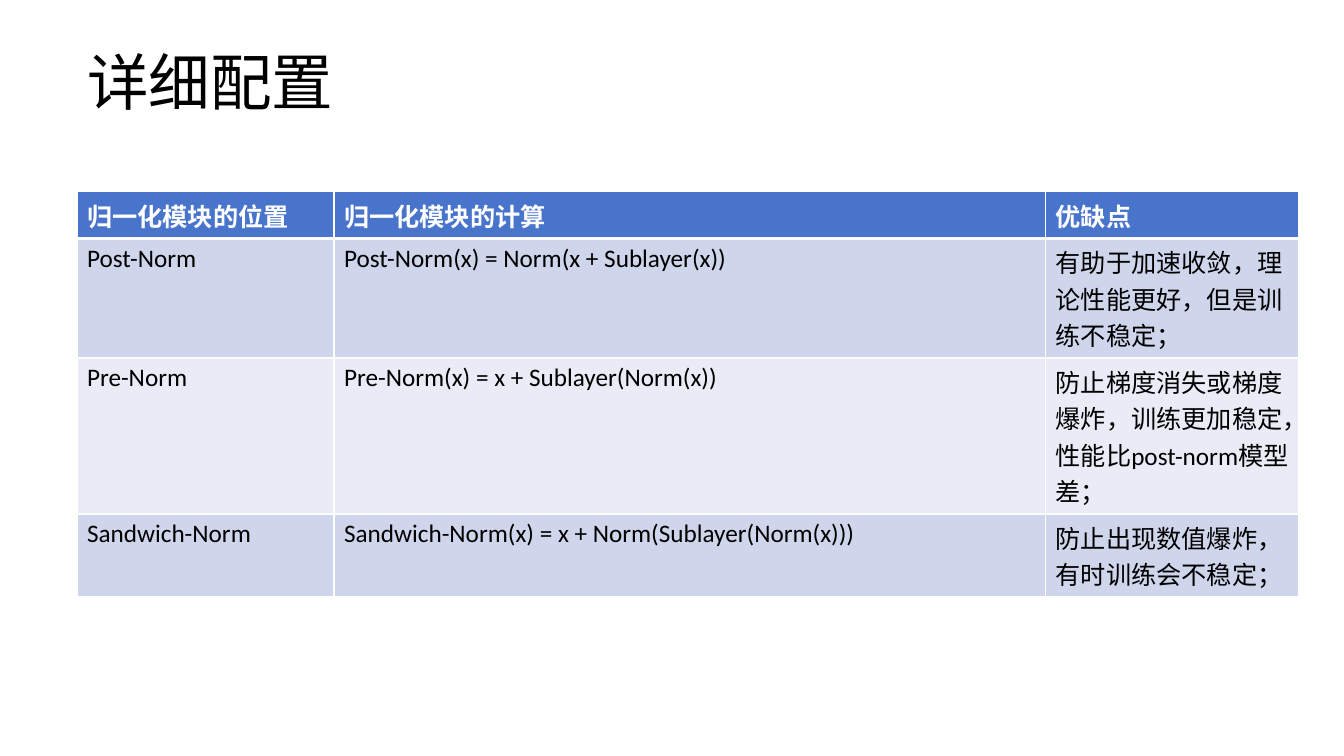
from dataclasses import dataclass

from lxml import etree
from pptx import Presentation
from pptx.dml.color import RGBColor
from pptx.enum.text import MSO_ANCHOR, MSO_AUTO_SIZE, PP_ALIGN
from pptx.oxml.ns import qn
from pptx.slide import Slide
from pptx.table import _Cell
from pptx.text.text import _Paragraph
from pptx.util import Pt

LEFT = PP_ALIGN.LEFT
MIDDLE = MSO_ANCHOR.MIDDLE
NO_AUTO_SIZE = MSO_AUTO_SIZE.NONE

FONT = "Calibri"
WHITE = "FFFFFF"
BLACK = "000000"
HEADER_FILL = "4874CB"
BAND_FILLS = ("CFD6EC", "E9EBF6")
THIN_BORDER = 1
HEADER_BORDER = 3
COLUMN_WIDTHS = (183.6, 508.3, 180.8)


@dataclass(frozen=True)
class NormRow:
    position: str
    formula: str
    remarks: str
    height: float

    def texts(self) -> tuple[str, str, str]:
        return self.position, self.formula, self.remarks


ROWS = (
    NormRow("归一化模块的位置", "归一化模块的计算", "优缺点", 33),
    NormRow(
        "Post-Norm",
        "Post-Norm(x) = Norm(x + Sublayer(x))",
        "有助于加速收敛，理论性能更好，但是训练不稳定；",
        37,
    ),
    NormRow(
        "Pre-Norm",
        "Pre-Norm(x) = x + Sublayer(Norm(x))",
        "防止梯度消失或梯度爆炸，训练更加稳定，性能比post-norm模型差；",
        33,
    ),
    NormRow(
        "Sandwich-Norm",
        "Sandwich-Norm(x) = x + Norm(Sublayer(Norm(x)))",
        "防止出现数值爆炸，有时训练会不稳定；",
        33,
    ),
)


def color(value: str) -> RGBColor:
    return RGBColor.from_string(value)


def format_paragraph(paragraph: _Paragraph, size: float, text_color: str, bold: bool) -> None:
    paragraph.alignment = LEFT
    paragraph.font.name = FONT
    paragraph.font.size = Pt(size)
    paragraph.font.bold = bold
    paragraph.font.color.rgb = color(text_color)


def add_borders(cell: _Cell, top: float, bottom: float) -> None:
    properties = cell._tc.get_or_add_tcPr()
    widths = {"a:lnL": THIN_BORDER, "a:lnR": THIN_BORDER, "a:lnT": top, "a:lnB": bottom}
    for tag, width in widths.items():
        line = etree.SubElement(properties, qn(tag), w=str(Pt(width)))
        fill = etree.SubElement(line, qn("a:solidFill"))
        etree.SubElement(fill, qn("a:srgbClr"), val=WHITE)


def add_title(slide: Slide, text: str) -> None:
    title = slide.shapes.title
    title.left, title.top = Pt(55), Pt(9)
    title.width, title.height = Pt(828), Pt(104.4)
    frame = title.text_frame
    frame.text = text
    frame.auto_size = NO_AUTO_SIZE
    frame.vertical_anchor = MIDDLE
    paragraph = frame.paragraphs[0]
    paragraph.line_spacing = 0.9
    format_paragraph(paragraph, 44, BLACK, False)


def add_norm_table(slide: Slide, rows: tuple[NormRow, ...]) -> None:
    table = slide.shapes.add_table(
        len(rows),
        len(COLUMN_WIDTHS),
        Pt(55),
        Pt(137),
        Pt(sum(COLUMN_WIDTHS)),
        Pt(sum(row.height for row in rows)),
    ).table
    for column, width in zip(table.columns, COLUMN_WIDTHS):
        column.width = Pt(width)
    for row_index, row in enumerate(rows):
        table.rows[row_index].height = Pt(row.height)
        is_header = row_index == 0
        row_fill = HEADER_FILL if is_header else BAND_FILLS[(row_index - 1) % 2]
        for column_index, text in enumerate(row.texts()):
            cell = table.cell(row_index, column_index)
            cell.text = text
            format_paragraph(
                cell.text_frame.paragraphs[0], 18, WHITE if is_header else BLACK, is_header
            )
            add_borders(
                cell,
                HEADER_BORDER if row_index == 1 else THIN_BORDER,
                HEADER_BORDER if is_header else THIN_BORDER,
            )
            cell.fill.solid()
            cell.fill.fore_color.rgb = color(row_fill)


def main() -> None:
    presentation = Presentation()
    presentation.slide_width = Pt(960)
    presentation.slide_height = Pt(540)
    slide = presentation.slides.add_slide(presentation.slide_layouts.get_by_name("Title Only"))
    slide.background.fill.solid()
    slide.background.fill.fore_color.rgb = color(WHITE)
    add_title(slide, "详细配置")
    add_norm_table(slide, ROWS)
    presentation.save("out.pptx")


if __name__ == "__main__":
    main()
